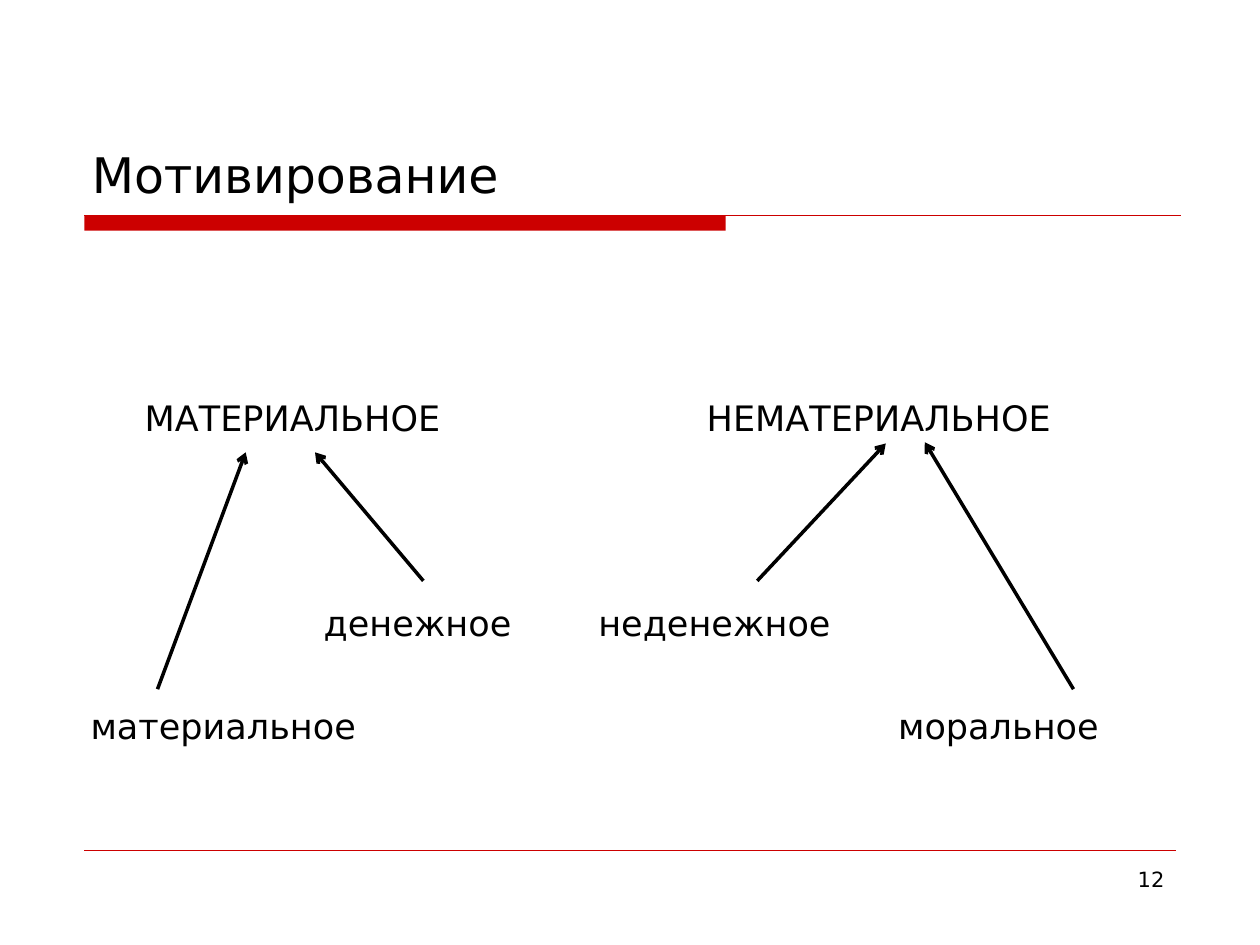
from lxml.etree import SubElement
from pptx import Presentation
from pptx.dml.color import RGBColor
from pptx.enum.shapes import MSO_CONNECTOR, MSO_SHAPE
from pptx.enum.text import MSO_ANCHOR, PP_ALIGN
from pptx.oxml.ns import qn
from pptx.util import Inches, Pt

RED = RGBColor(0xCC, 0x00, 0x00)
BLACK = RGBColor(0x00, 0x00, 0x00)
FONT = "DejaVu Sans"
ROWS = [
    (0, [("МАТЕРИАЛЬНОЕ", 0.43), ("НЕМАТЕРИАЛЬНОЕ", 4.89)]),
    (92.7, [("денежное", 1.85), ("неденежное", 4.03)]),
    (35, [("материальное", 0), ("моральное", 6.41)]),
]
ARROWS = [
    (1.25, 5.47, 1.95, 3.59),
    (3.36, 4.61, 2.5, 3.59),
    (6.01, 4.61, 7.03, 3.52),
    (8.52, 5.47, 7.34, 3.51),
]


def style_para(para, size):
    """Set the shared font of a paragraph."""
    para.font.name = FONT
    para.font.size = Pt(size)
    para.font.color.rgb = BLACK


def add_box(page, left, top, width, height):
    """Add an empty wrapping text box and return its frame."""
    box = page.shapes.add_textbox(
        Inches(left), Inches(top), Inches(width), Inches(height))
    box.text_frame.word_wrap = True
    return box.text_frame


def add_line(page, ends, color, weight):
    """Add a straight line without shadow and return it."""
    line = page.shapes.add_connector(
        MSO_CONNECTOR.STRAIGHT, *[Inches(value) for value in ends])
    line.line.color.rgb = color
    line.line.width = Pt(weight)
    SubElement(line._element.spPr, qn("a:effectLst"))
    return line


def add_title(page, left, top, width, height):
    """Place the title above its red band and rule."""
    frame = add_box(page, left, top, width, height)
    frame.vertical_anchor = MSO_ANCHOR.BOTTOM
    para = frame.paragraphs[0]
    para.text = "Мотивирование"
    style_para(para, 28)
    band = page.shapes.add_shape(
        MSO_SHAPE.RECTANGLE, Inches(left + 0.04), Inches(top + 1.38),
        Inches(5.09), Inches(0.12))
    band.shadow.inherit = False
    band.fill.solid()
    band.fill.fore_color.rgb = RED
    band.line.fill.background()
    rule = top + 1.38
    add_line(page, (left + 0.04, rule, left + 8.74, rule), RED, 0.75)


def add_labels(page, left, top, width, height):
    """Place the rows of labels at their tab stops."""
    frame = add_box(page, left, top, width, height)
    for index, (gap, labels) in enumerate(ROWS):
        para = frame.add_paragraph() if index else frame.paragraphs[0]
        para.text = "".join(
            ("\t" if stop else "") + label for label, stop in labels)
        stops = SubElement(para._p.get_or_add_pPr(), qn("a:tabLst"))
        for _, stop in labels:
            if stop:
                SubElement(stops, qn("a:tab"), pos=str(Inches(stop)), algn="l")
        if gap:
            para.space_before = Pt(gap)
        style_para(para, 20)


def add_arrows(page):
    """Draw the arrows from each kind up to its group."""
    for ends in ARROWS:
        arrow = add_line(page, ends, BLACK, 2)
        SubElement(arrow.line._get_or_add_ln(), qn("a:tailEnd"), type="arrow")


def add_footer(page, left, top, width, height):
    """Place the thin rule and the page number."""
    add_line(page, (0.67, top - 0.08, 9.33, top - 0.08), RED, 0.25)
    para = add_box(page, left, top, width, height).paragraphs[0]
    para.text = "12"
    para.alignment = PP_ALIGN.RIGHT
    style_para(para, 12)


def main():
    """Build and save the slide."""
    deck = Presentation()
    deck.slide_width, deck.slide_height = Inches(10), Inches(7.5)
    page = deck.slides.add_slide(deck.slide_layouts[6])
    add_title(page, 0.63, 0.33, 8.75, 1.33)
    add_labels(page, 0.62, 3.1, 8.75, 3.49)
    add_footer(page, 7.17, 6.83, 2.17, 0.52)
    add_arrows(page)
    deck.save("out.pptx")


if __name__ == "__main__":
    main()
